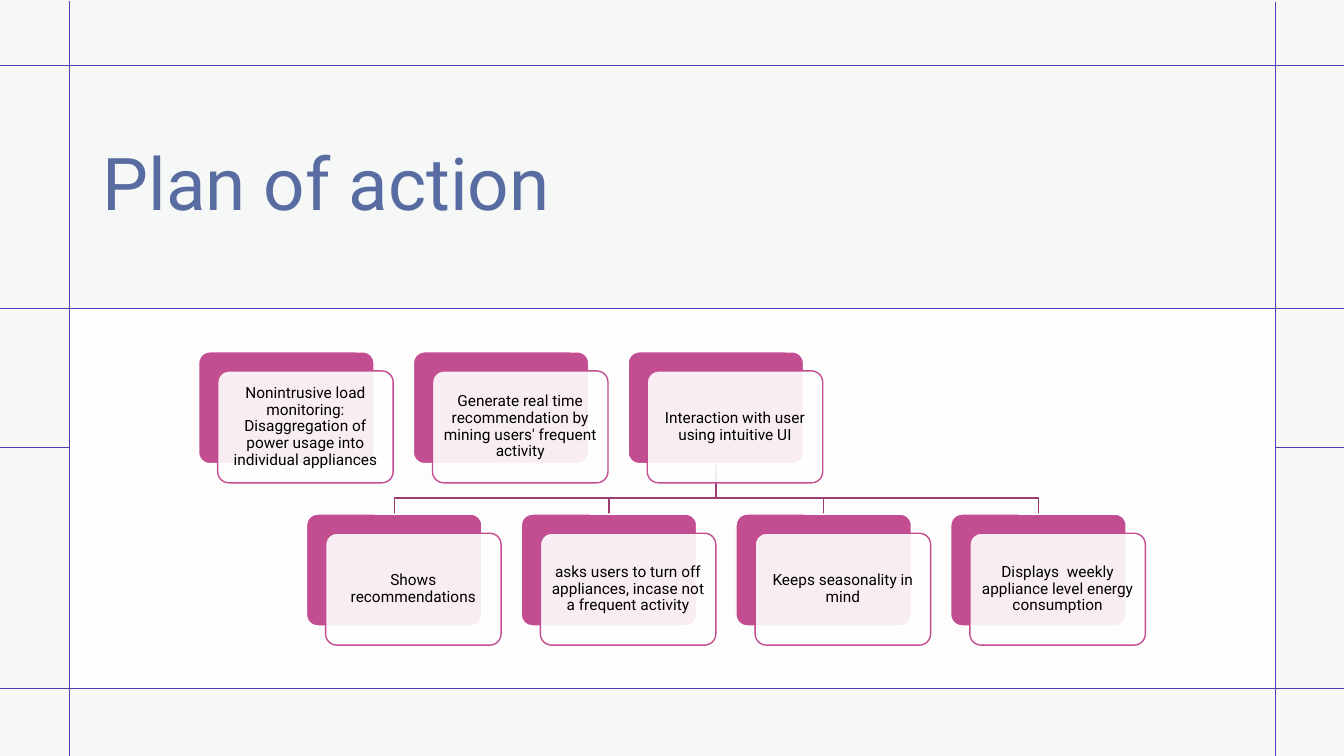
from dataclasses import dataclass

from lxml import etree
from pptx import Presentation
from pptx.dml.color import RGBColor
from pptx.enum.shapes import MSO_CONNECTOR, MSO_SHAPE
from pptx.enum.text import MSO_ANCHOR, PP_ALIGN
from pptx.oxml.ns import qn
from pptx.shapes.autoshape import Shape
from pptx.slide import Slide
from pptx.util import Inches, Pt

RECTANGLE = MSO_SHAPE.RECTANGLE
ROUNDED = MSO_SHAPE.ROUNDED_RECTANGLE
STRAIGHT = MSO_CONNECTOR.STRAIGHT
MIDDLE = MSO_ANCHOR.MIDDLE
CENTER = PP_ALIGN.CENTER

FONT = "Roboto"
BACKDROP = "F6F8F7"
WHITE = "FFFFFF"
BLACK = "000000"
GRID = "513DB2"
TITLE = "596CA1"
PINK = "C34D91"
BRANCH = "9C3E74"

SLIDE_WIDTH, SLIDE_HEIGHT = 13.33, 7.5
GRID_LEFT, GRID_RIGHT = 0.69, 12.65
GRID_TOP, GRID_MIDDLE, GRID_LOW, GRID_BOTTOM = 0.65, 3.06, 4.44, 6.83
CARD_WIDTH, CARD_HEIGHT = 1.74, 1.11
CARD_STEP, CARD_OFFSET = 2.13, 0.19
BRANCH_TURN = 4.94


@dataclass
class GridLine:
    x1: float
    y1: float
    x2: float
    y2: float


@dataclass
class CardRow:
    left: float
    top: float
    labels: list[str]

    def card_left(self, index: int) -> float:
        return self.left + index * CARD_STEP

    def card_center(self, index: int) -> float:
        return self.card_left(index) + CARD_WIDTH / 2


GRID_LINES = [
    GridLine(GRID_RIGHT, GRID_MIDDLE, SLIDE_WIDTH, GRID_MIDDLE),
    GridLine(GRID_RIGHT, GRID_LOW, SLIDE_WIDTH, GRID_LOW),
    GridLine(0, GRID_MIDDLE, GRID_LEFT, GRID_MIDDLE),
    GridLine(0, GRID_LOW, GRID_LEFT, GRID_LOW),
    GridLine(0, GRID_BOTTOM, SLIDE_WIDTH, GRID_BOTTOM),
    GridLine(0, GRID_TOP, SLIDE_WIDTH, GRID_TOP),
    GridLine(GRID_RIGHT, SLIDE_HEIGHT, GRID_RIGHT, 0.02),
    GridLine(GRID_LEFT, SLIDE_HEIGHT, GRID_LEFT, 0.01),
    GridLine(GRID_LEFT, GRID_MIDDLE, GRID_RIGHT, GRID_MIDDLE),
]

STEPS = CardRow(1.97, 3.49, [
    "Nonintrusive load monitoring: Disaggregation of power usage into individual appliances",
    "Generate real time recommendation by mining users' frequent activity",
    "Interaction with user using intuitive UI",
])
FEATURES = CardRow(3.04, 5.1, [
    "Shows recommendations",
    "asks users to turn off appliances, incase not a frequent activity",
    "Keeps seasonality in mind",
    "Displays  weekly appliance level energy consumption",
])


def color(value: str) -> RGBColor:
    return RGBColor.from_string(value)


def add_block(slide: Slide, kind: MSO_SHAPE, left: float, top: float, width: float,
              height: float, fill: str, line: str | None = None, opacity: int = 100) -> Shape:
    shape = slide.shapes.add_shape(kind, Inches(left), Inches(top), Inches(width), Inches(height))
    shape.shadow.inherit = False
    shape.fill.solid()
    shape.fill.fore_color.rgb = color(fill)
    if opacity < 100:
        fill_color = shape.fill._xPr.find(qn("a:solidFill"))[0]
        etree.SubElement(fill_color, qn("a:alpha"), val=str(opacity * 1000))
    if line is None:
        shape.line.fill.background()
    else:
        shape.line.color.rgb = color(line)
        shape.line.width = Pt(1)
    return shape


def add_grid_line(slide: Slide, line: GridLine) -> None:
    connector = slide.shapes.add_connector(
        STRAIGHT, Inches(line.x1), Inches(line.y1), Inches(line.x2), Inches(line.y2))
    connector.line.color.rgb = color(GRID)
    connector.line.width = Pt(1)
    etree.SubElement(connector._element.spPr, qn("a:effectLst"))


def write_text(shape: Shape, text: str, size: float, text_color: str) -> None:
    frame = shape.text_frame
    frame.word_wrap = True
    frame.vertical_anchor = MIDDLE
    paragraph = frame.paragraphs[0]
    paragraph.text = text
    paragraph.line_spacing = 0.9
    paragraph.font.size = Pt(size)
    paragraph.font.name = FONT
    paragraph.font.color.rgb = color(text_color)


def add_title(slide: Slide, text: str) -> None:
    box = slide.shapes.add_textbox(Inches(0.92), Inches(0.77), Inches(11.5), Inches(2.17))
    write_text(box, text, 52, TITLE)


def add_branch(slide: Slide, start_x: float, start_y: float, end_x: float, end_y: float) -> None:
    builder = slide.shapes.build_freeform(Inches(start_x), Inches(start_y))
    corners = [(start_x, BRANCH_TURN), (end_x, BRANCH_TURN), (end_x, end_y)]
    builder.add_line_segments([(Inches(x), Inches(y)) for x, y in corners], close=False)
    branch = builder.convert_to_shape()
    branch.shadow.inherit = False
    branch.fill.background()
    branch.line.color.rgb = color(BRANCH)
    branch.line.width = Pt(1)


def add_card(slide: Slide, left: float, top: float, label: str) -> None:
    back = add_block(slide, ROUNDED, left, top, CARD_WIDTH, CARD_HEIGHT, PINK, WHITE)
    front = add_block(slide, ROUNDED, left + CARD_OFFSET, top + CARD_OFFSET,
                      CARD_WIDTH, CARD_HEIGHT, WHITE, PINK, opacity=90)
    for card in (back, front):
        card.adjustments[0] = 0.1
    frame = front.text_frame
    frame.margin_left = frame.margin_right = Inches(0.05)
    frame.margin_top = frame.margin_bottom = Inches(0.05)
    write_text(front, label, 11, BLACK)
    frame.paragraphs[0].alignment = CENTER


def main() -> None:
    presentation = Presentation()
    presentation.slide_width = Inches(SLIDE_WIDTH)
    presentation.slide_height = Inches(SLIDE_HEIGHT)
    slide = presentation.slides.add_slide(presentation.slide_layouts[6])

    add_block(slide, RECTANGLE, 0, 0, SLIDE_WIDTH, SLIDE_HEIGHT, BACKDROP)
    add_block(slide, RECTANGLE, GRID_LEFT, GRID_MIDDLE, GRID_RIGHT - GRID_LEFT,
              GRID_BOTTOM - GRID_MIDDLE, WHITE, opacity=75)
    for line in GRID_LINES:
        add_grid_line(slide, line)
    add_title(slide, "Plan of action")

    parent_x = STEPS.card_center(len(STEPS.labels) - 1)
    for index in reversed(range(len(FEATURES.labels))):
        add_branch(slide, parent_x, STEPS.top + CARD_HEIGHT,
                   FEATURES.card_center(index), FEATURES.top)
    for row in (STEPS, FEATURES):
        for index, label in enumerate(row.labels):
            add_card(slide, row.card_left(index), row.top, label)

    presentation.save("out.pptx")


if __name__ == "__main__":
    main()
